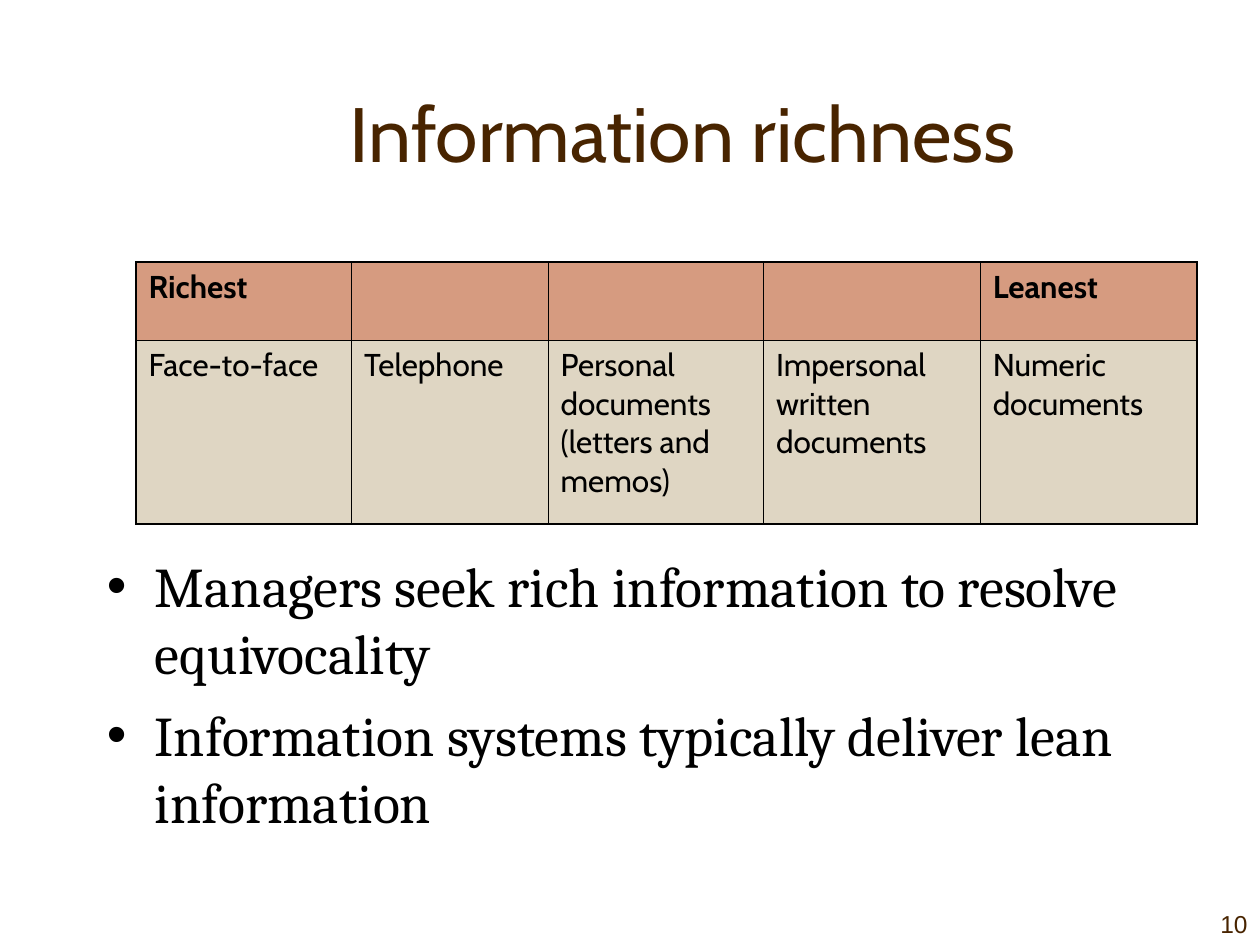
"""Build the slide on information richness."""
from lxml import etree
from pptx import Presentation
from pptx import util as u
from pptx.dml.color import RGBColor
from pptx.enum import text
from pptx.oxml.ns import qn

TITLE = "Information richness"
ROWS = [
    ["Richest", "", "", "", "Leanest"],
    ["Face-to-face", "Telephone", "Personal documents (letters and memos)",
     "Impersonal written documents", "Numeric documents"],
]
POINTS = [
    "Managers seek rich information to resolve equivocality",
    "Information systems typically deliver lean information",
]
PAGE = "10"

BROWN, BLACK = "482400", "000000"
ROW_FILLS = ["D69B80", "DFD6C3"]
COLUMN_WIDTHS = [1.71, 1.56, 1.71, 1.72, 1.72]
ROW_HEIGHTS = [0.62, 1.46]
OUTER, INNER = 1.08, 0.45
HANG = 0.38


def rgb(value):
    return RGBColor.from_string(value)


def add_bullet(paragraph):
    props = paragraph._p.get_or_add_pPr()
    props.set("marL", str(u.Inches(HANG)))
    props.set("indent", str(-u.Inches(HANG)))
    etree.SubElement(props, qn("a:buFont"), typeface="Arial")
    etree.SubElement(props, qn("a:buChar"), char="•")


def write(frame, lines, font, size, color, align=text.PP_ALIGN.LEFT,
          before=0, bold=False, bullets=False):
    for index, line in enumerate(lines):
        paragraph = frame.add_paragraph() if index else frame.paragraphs[0]
        paragraph.text = line
        paragraph.alignment = align
        paragraph.space_before = u.Pt(before)
        if bullets:
            add_bullet(paragraph)
        paragraph.font.name = font
        paragraph.font.size = u.Pt(size)
        paragraph.font.bold = bold
        paragraph.font.color.rgb = rgb(color)


def add_text(slide, box, anchor, lines, *style, **options):
    frame = slide.shapes.add_textbox(*map(u.Inches, box)).text_frame
    frame.word_wrap = True
    frame.vertical_anchor = anchor
    write(frame, lines, *style, **options)


def set_borders(cell, widths):
    props = cell._tc.get_or_add_tcPr()
    for side, width in widths.items():
        line = etree.SubElement(props, qn(f"a:{side}"), w=str(u.Pt(width)))
        fill = etree.SubElement(line, qn("a:solidFill"))
        etree.SubElement(fill, qn("a:srgbClr"), val=BLACK)


def add_scale(slide, left, top):
    last_row, last_column = len(ROWS) - 1, len(COLUMN_WIDTHS) - 1
    box = left, top, sum(COLUMN_WIDTHS), sum(ROW_HEIGHTS)
    table = slide.shapes.add_table(
        len(ROWS), len(COLUMN_WIDTHS), *map(u.Inches, box)).table
    for column, width in zip(table.columns, COLUMN_WIDTHS):
        column.width = u.Inches(width)
    for r, labels in enumerate(ROWS):
        table.rows[r].height = u.Inches(ROW_HEIGHTS[r])
        for c, label in enumerate(labels):
            cell = table.cell(r, c)
            write(cell.text_frame, [label], "Cabin", 18, BLACK,
                  before=4.5, bold=r == 0)
            edges = {"lnL": c == 0, "lnR": c == last_column,
                     "lnT": r == 0, "lnB": r == last_row}
            set_borders(cell, {side: OUTER if outer else INNER
                               for side, outer in edges.items()})
            cell.fill.solid()
            cell.fill.fore_color.rgb = rgb(ROW_FILLS[r])


def main():
    deck = Presentation()
    deck.slide_width, deck.slide_height = u.Inches(10), u.Inches(7.5)
    slide = deck.slides.add_slide(deck.slide_layouts[6])
    anchor, align = text.MSO_ANCHOR, text.PP_ALIGN
    add_text(slide, (1.17, 0.42, 8.5, 1.25), anchor.MIDDLE, [TITLE],
             "Cabin", 44, BROWN, align=align.CENTER)
    add_text(slide, (0.75, 4.33, 8.5, 2.5), anchor.TOP, POINTS,
             "Cambria", 32, BLACK, before=8, bullets=True)
    add_scale(slide, 1.08, 2.08)
    add_text(slide, (9, 7, 1, 0.5), anchor.BOTTOM, [PAGE],
             "Arial", 14, BROWN, align=align.RIGHT)
    deck.save("out.pptx")


if __name__ == "__main__":
    main()
